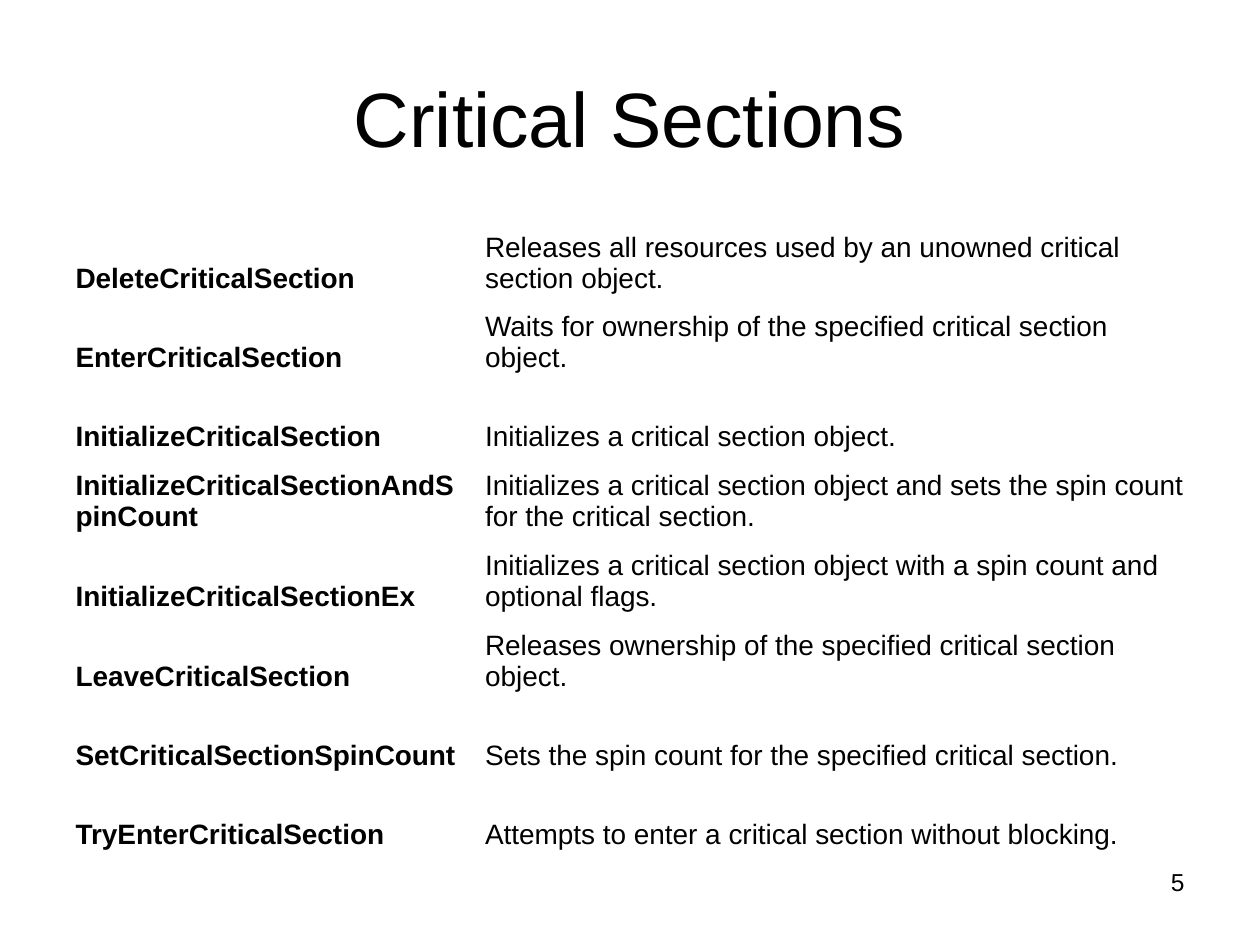
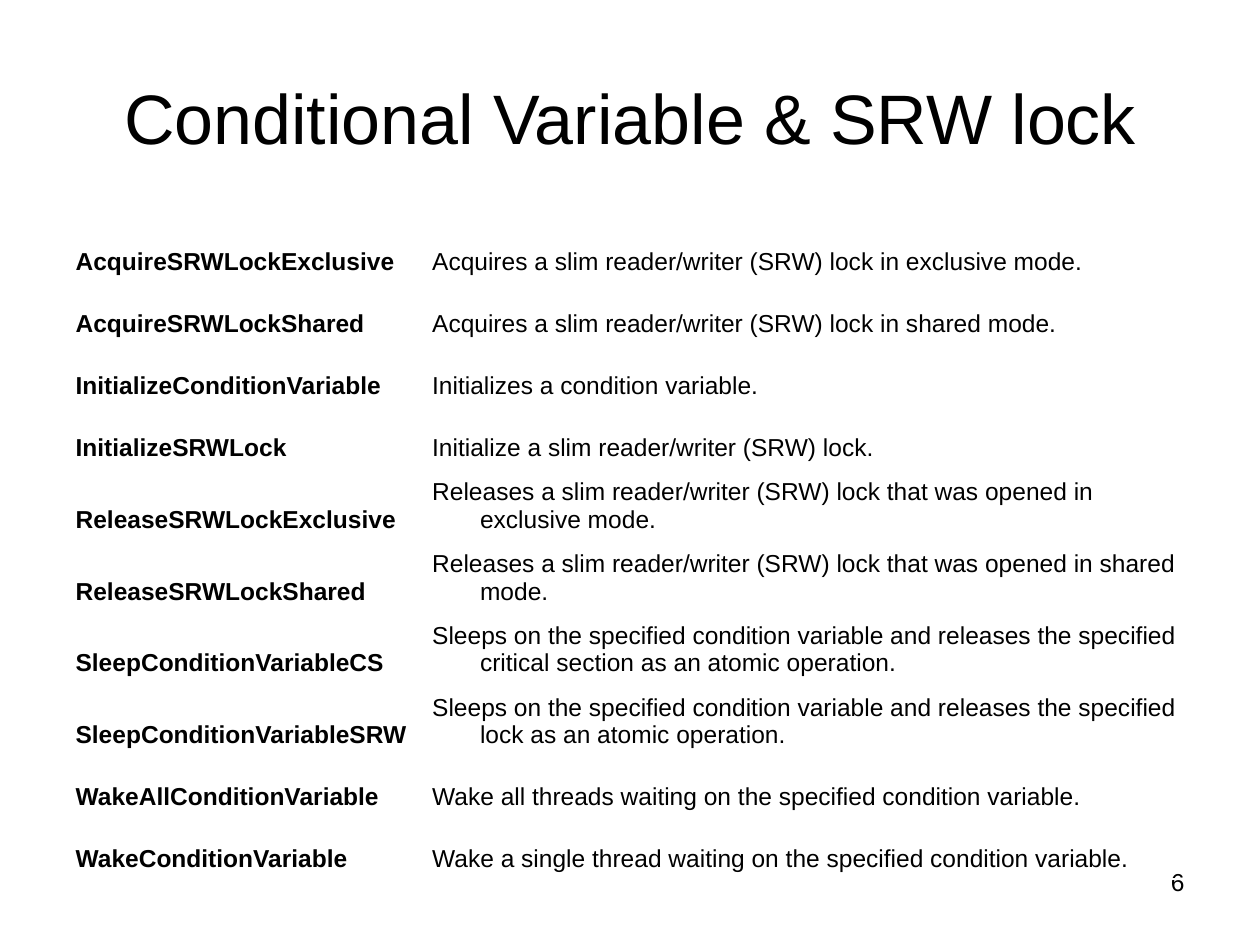
import pptx
import pptx.dml.color
import pptx.enum.text
import pptx.util

Inches = pptx.util.Inches
Align = pptx.enum.text.PP_ALIGN
Anchor = pptx.enum.text.MSO_ANCHOR

# Shared style
FONT = "Arial"
INK = "000000"
PAPER = "FFFFFF"
LEFT, WIDTH = 0.5, 9
TABLE_TOP = 1.75
TITLE_ONLY_LAYOUT = 5

CRITICAL_SECTIONS = [
    ("DeleteCriticalSection", "Releases all resources used by an unowned critical section object."),
    ("EnterCriticalSection", "Waits for ownership of the specified critical section object."),
    ("InitializeCriticalSection", "Initializes a critical section object."),
    ("InitializeCriticalSectionAndSpinCount",
     "Initializes a critical section object and sets the spin count for the critical section."),
    ("InitializeCriticalSectionEx",
     "Initializes a critical section object with a spin count and optional flags."),
    ("LeaveCriticalSection", "Releases ownership of the specified critical section object."),
    ("SetCriticalSectionSpinCount", "Sets the spin count for the specified critical section."),
    ("TryEnterCriticalSection", "Attempts to enter a critical section without blocking."),
]

CONDITIONS_AND_LOCKS = [
    ("AcquireSRWLockExclusive", "Acquires a slim reader/writer (SRW) lock in exclusive mode."),
    ("AcquireSRWLockShared", "Acquires a slim reader/writer (SRW) lock in shared mode."),
    ("InitializeConditionVariable", "Initializes a condition variable."),
    ("InitializeSRWLock", "Initialize a slim reader/writer (SRW) lock."),
    ("ReleaseSRWLockExclusive",
     "Releases a slim reader/writer (SRW) lock that was opened in exclusive mode."),
    ("ReleaseSRWLockShared",
     "Releases a slim reader/writer (SRW) lock that was opened in shared mode."),
    ("SleepConditionVariableCS",
     "Sleeps on the specified condition variable and releases the specified "
     "critical section as an atomic operation."),
    ("SleepConditionVariableSRW",
     "Sleeps on the specified condition variable and releases the specified "
     "lock as an atomic operation."),
    ("WakeAllConditionVariable", "Wake all threads waiting on the specified condition variable."),
    ("WakeConditionVariable", "Wake a single thread waiting on the specified condition variable."),
]


def color(value):
    return pptx.dml.color.RGBColor.from_string(value)


def write(frame, text, size, bold=False, align=Align.LEFT, hanging=0):
    """Put one formatted paragraph into a text frame."""
    para = frame.paragraphs[0]
    para.alignment = align
    if hanging:
        properties = para._p.get_or_add_pPr()
        properties.set("marL", str(Inches(hanging)))
        properties.set("indent", str(Inches(-hanging)))
    span = para.add_run()
    span.text = text
    span.font.name = FONT
    span.font.size = pptx.util.Pt(size)
    span.font.bold = bold
    span.font.color.rgb = color(INK)


class Slides:
    def __init__(self):
        self.deck = pptx.Presentation()
        self.deck.slide_width = Inches(10)
        self.deck.slide_height = Inches(7.5)
        self.page = None

    def start(self, title, title_size, number):
        self.page = self.deck.slides.add_slide(self.deck.slide_layouts[TITLE_ONLY_LAYOUT])
        self.page.background.fill.solid()
        self.page.background.fill.fore_color.rgb = color(PAPER)
        self.title(title, title_size)
        self.page_number(number)

    def title(self, text, size):
        box = self.page.shapes.title
        box.left, box.top = Inches(LEFT), Inches(0.3)
        box.width, box.height = Inches(WIDTH), Inches(1.25)
        box.text_frame.auto_size = pptx.enum.text.MSO_AUTO_SIZE.NONE
        box.text_frame.vertical_anchor = Anchor.MIDDLE
        write(box.text_frame, text, size, align=Align.CENTER)

    def page_number(self, number):
        box = self.page.shapes.add_textbox(Inches(7.17), Inches(6.83), Inches(2.33), Inches(0.52))
        box.text_frame.word_wrap = True
        write(box.text_frame, str(number), 14, align=Align.RIGHT)

    def function_table(self, functions, name_width, heights, size, hanging=0):
        table = self.page.shapes.add_table(
            len(functions), 2, Inches(LEFT), Inches(TABLE_TOP),
            Inches(WIDTH), Inches(sum(heights))).table
        table.first_row = table.horz_banding = False
        table.columns[0].width = Inches(name_width)
        table.columns[1].width = Inches(WIDTH - name_width)
        for row, (texts, height) in enumerate(zip(functions, heights)):
            table.rows[row].height = Inches(height)
            for column, text in enumerate(texts):
                cell = table.cell(row, column)
                cell.fill.background()
                cell.vertical_anchor = Anchor.BOTTOM
                write(cell.text_frame, text, size, bold=column == 0, hanging=hanging)


def main():
    slides = Slides()

    # Critical sections: equal rows
    slides.start("Critical Sections", 44, 5)
    count = len(CRITICAL_SECTIONS)
    slides.function_table(CRITICAL_SECTIONS, 3.25, [5.02 / count] * count, 16)

    # Condition variables and locks: long descriptions take taller rows
    slides.start("Conditional Variable & SRW lock", 40, 6)
    is_long = [len(description) > 70 for _, description in CONDITIONS_AND_LOCKS]
    tall = 0.57
    short = (5.23 - tall * sum(is_long)) / is_long.count(False)
    heights = [tall if wraps else short for wraps in is_long]
    slides.function_table(CONDITIONS_AND_LOCKS, 2.83, heights, 14, hanging=0.38)

    slides.deck.save("out.pptx")


if __name__ == "__main__":
    main()
